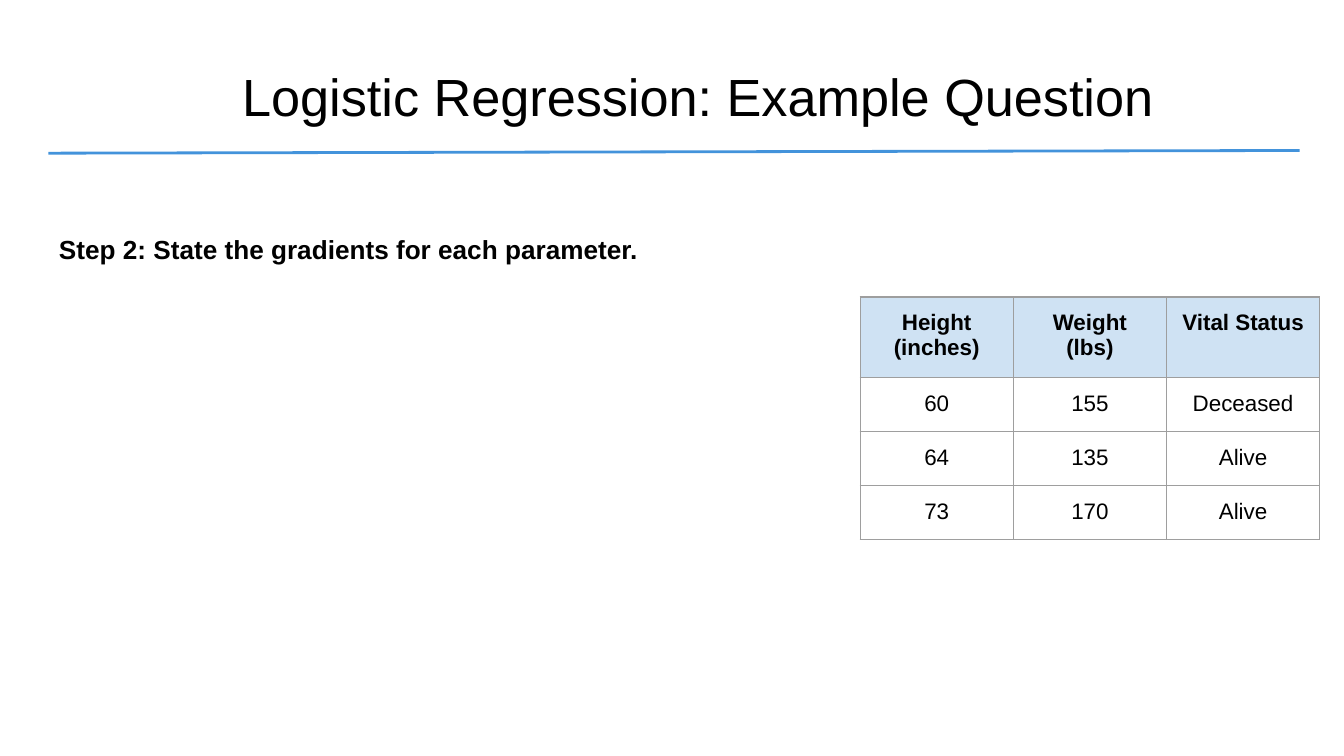
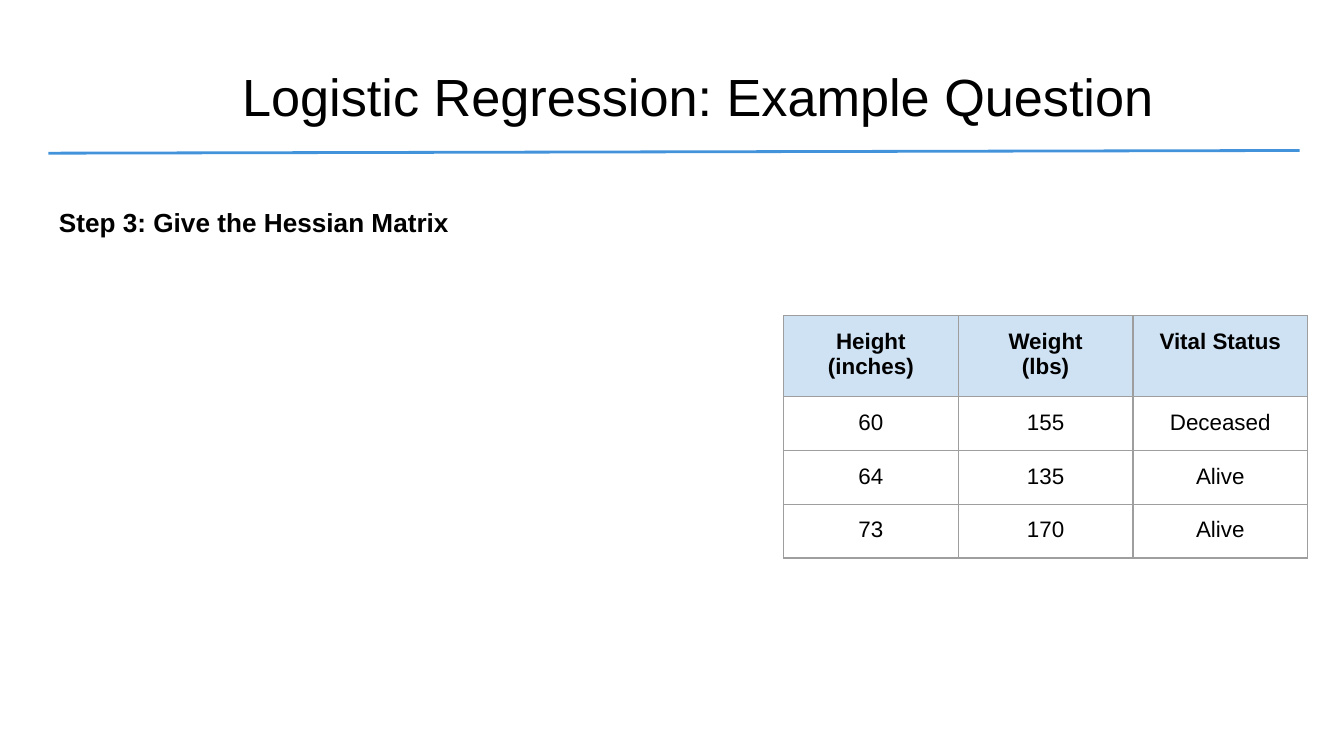
"""Build the two logistic regression example slides."""
from lxml import etree
from pptx import Presentation
from pptx.dml.color import RGBColor
from pptx.enum.shapes import MSO_CONNECTOR
from pptx.enum.text import MSO_ANCHOR, MSO_AUTO_SIZE, PP_ALIGN
from pptx.oxml.ns import qn
from pptx.util import Inches, Pt

BLACK = RGBColor(0x00, 0x00, 0x00)
RULE_BLUE = RGBColor(0x43, 0x93, 0xDB)
HEADER_BLUE = RGBColor(0xCF, 0xE2, 0xF3)
BORDER_GRAY = RGBColor(0x9E, 0x9E, 0x9E)

CENTER, JUSTIFY = PP_ALIGN.CENTER, PP_ALIGN.JUSTIFY
TOP = MSO_ANCHOR.TOP
NO_AUTOFIT = MSO_AUTO_SIZE.NONE
STRAIGHT = MSO_CONNECTOR.STRAIGHT

FONT = "Arial"
SLIDE_WIDTH = Inches(10)
SLIDE_HEIGHT = SLIDE_WIDTH * 9 // 16
INSET = Inches(0.1)
TABLE_SIZE = Inches(3.28)
ROW_HEIGHT = Inches(0.38)
BORDER_WIDTH = Pt(0.75)
BORDER_TAGS = ("a:lnL", "a:lnR", "a:lnT", "a:lnB")

TITLE = "Logistic Regression: Example Question"
PATIENTS = [
    ("Height\n(inches)", "Weight\n(lbs)", "Vital Status"),
    ("60", "155", "Deceased"),
    ("64", "135", "Alive"),
    ("73", "170", "Alive"),
]
STEPS = [
    {"text": "Step 2: State the gradients for each parameter.",
     "text_top": 1.6, "table_left": 6.4, "table_top": 2.21, "column_width": 1.14},
    {"text": "Step 3: Give the Hessian Matrix",
     "text_top": 1.4, "table_left": 5.83, "table_top": 2.35, "column_width": 1.3},
]


def write_text(frame, text, size=12, bold=False, align=CENTER, line_spacing=None, space_after=None):
    """Fill a text frame, one paragraph per line of text."""
    frame.text = text
    frame.word_wrap = True
    for paragraph in frame.paragraphs:
        paragraph.alignment = align
        paragraph.line_spacing = line_spacing
        paragraph.space_after = space_after
        for run in paragraph.runs:
            run.font.name = FONT
            run.font.size = Pt(size)
            run.font.bold = bold
            run.font.color.rgb = BLACK


def set_insets(target):
    """Set the margins of a text frame or table cell."""
    target.margin_left = target.margin_right = INSET
    target.margin_top = target.margin_bottom = INSET
    target.vertical_anchor = TOP


def set_borders(cell):
    """Draw a thin gray line on every side of a cell."""
    properties = cell._tc.get_or_add_tcPr()
    for tag in BORDER_TAGS:
        border = etree.SubElement(properties, qn(tag), w=str(BORDER_WIDTH))
        fill = etree.SubElement(border, qn("a:solidFill"))
        etree.SubElement(fill, qn("a:srgbClr"), val=str(BORDER_GRAY))


class Deck:
    """Holds the presentation, its style and the current slide."""

    def __init__(self):
        """Start a widescreen presentation."""
        self.presentation = Presentation()
        self.presentation.slide_width = SLIDE_WIDTH
        self.presentation.slide_height = SLIDE_HEIGHT
        self.slide = None

    def add_slide(self, title):
        """Add a slide with the shared title and rule."""
        layout = self.presentation.slide_layouts[5]
        self.slide = self.presentation.slides.add_slide(layout)
        shape = self.slide.shapes.title
        shape.left, shape.top = Inches(1.53), Inches(0.38)
        shape.width, shape.height = Inches(7.32), Inches(0.63)
        set_insets(shape.text_frame)
        shape.text_frame.auto_size = NO_AUTOFIT
        write_text(shape.text_frame, title, size=28)
        self.add_rule()

    def add_rule(self):
        """Draw the blue line under the title."""
        rule = self.slide.shapes.add_connector(
            STRAIGHT, Inches(0.36), Inches(1.14), Inches(9.67), Inches(1.12))
        rule.line.color.rgb = RULE_BLUE
        rule.line.width = Pt(1.5)
        etree.SubElement(rule._element.spPr, qn("a:effectLst"))

    def add_step(self, text, top, bottom=5.34):
        """Add the bold step statement on the left."""
        shape = self.slide.shapes.add_textbox(
            Inches(0.34), Inches(top), Inches(5.23), Inches(bottom - top))
        set_insets(shape.text_frame)
        write_text(shape.text_frame, text, size=14, bold=True, align=JUSTIFY,
                   line_spacing=1.15, space_after=Pt(16))

    def add_table(self, rows, left, top, column_width):
        """Add a bordered table with a shaded header row."""
        frame = self.slide.shapes.add_table(
            len(rows), len(rows[0]), Inches(left), Inches(top), TABLE_SIZE, TABLE_SIZE)
        table = frame.table
        table.horz_banding = False
        for column in table.columns:
            column.width = Inches(column_width)
        for row_index, values in enumerate(rows):
            table.rows[row_index].height = ROW_HEIGHT
            is_header = row_index == 0
            for column_index, value in enumerate(values):
                cell = table.cell(row_index, column_index)
                set_insets(cell)
                set_borders(cell)
                if is_header:
                    cell.fill.solid()
                    cell.fill.fore_color.rgb = HEADER_BLUE
                else:
                    cell.fill.background()
                write_text(cell.text_frame, value, bold=is_header)
        frame.width = frame.height = TABLE_SIZE


def main():
    """Build and save both slides."""
    deck = Deck()
    for step in STEPS:
        deck.add_slide(TITLE)
        deck.add_step(step["text"], step["text_top"])
        deck.add_table(PATIENTS, step["table_left"], step["table_top"], step["column_width"])
    deck.presentation.save("out.pptx")


if __name__ == "__main__":
    main()
